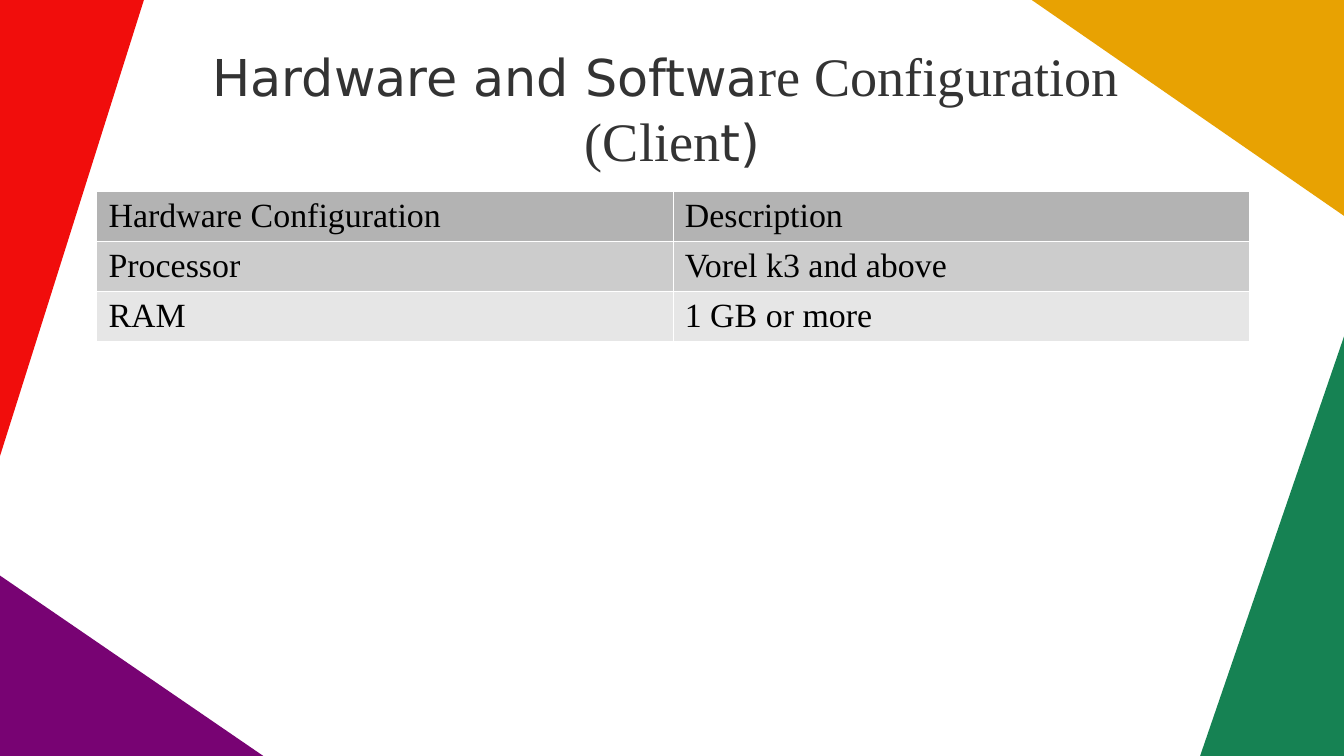
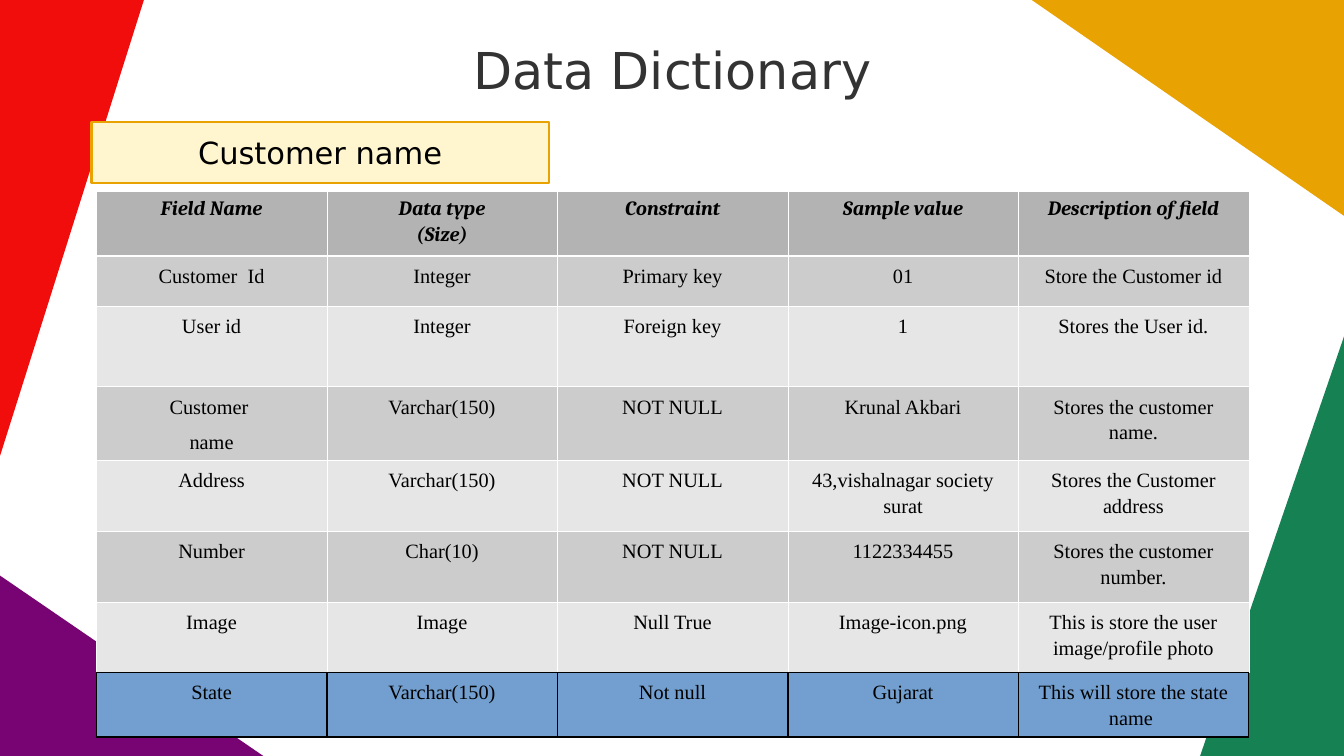
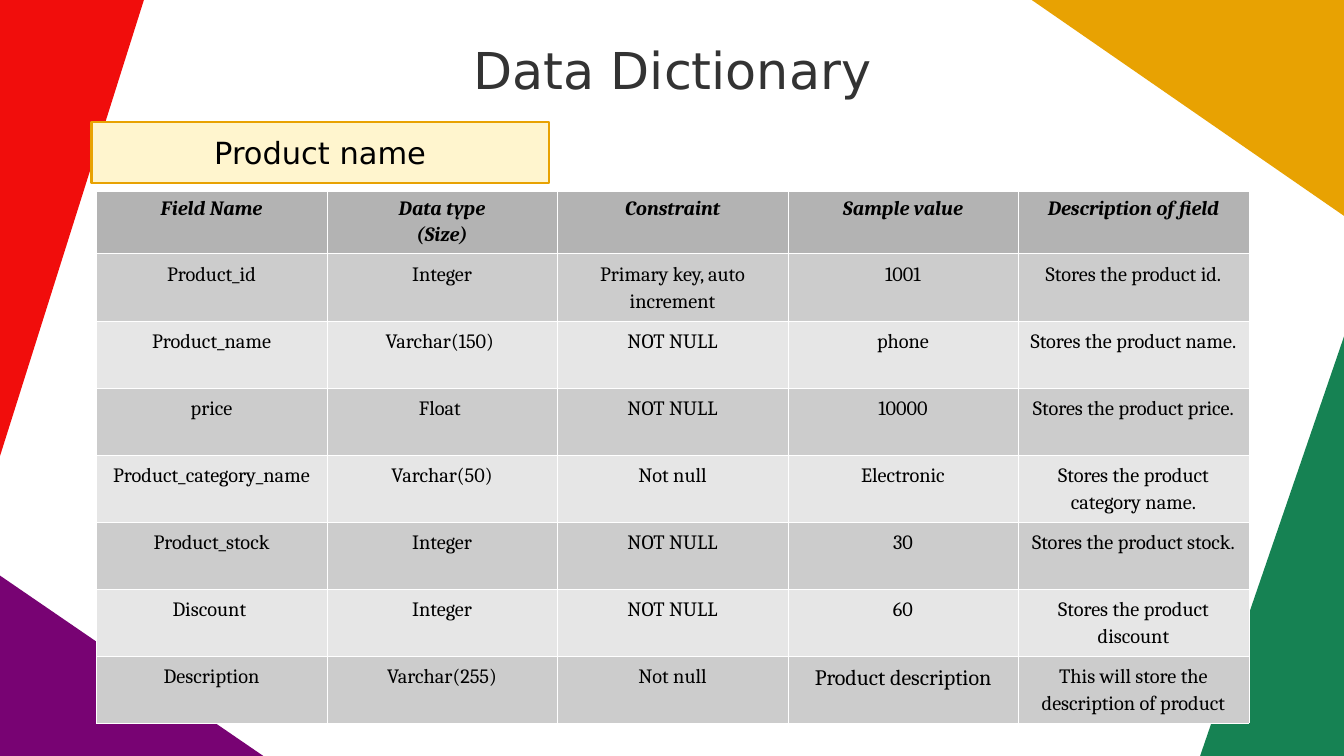
"""Build three slides: client configuration and two data dictionary tables."""
from lxml.etree import SubElement
from pptx import Presentation
from pptx.dml.color import RGBColor
from pptx.enum.shapes import MSO_SHAPE as SHAPE
from pptx.enum.text import MSO_ANCHOR as ANCHOR, MSO_AUTO_SIZE as AUTO, PP_ALIGN as ALIGN
from pptx.oxml.ns import qn
from pptx.util import Inches, Pt

W, H = 11.02, 6.2
LEFT, TABLE_TOP, CONTENT_W = 0.79, 1.57, 9.45
SANS, SERIF, BOOK = "DejaVu Sans", "Times New Roman", "Cambria"
COLORS = {
    "purple": "780373", "red": "F10D0C", "gold": "E8A202", "green": "168253",
    "title": "333333", "black": "000000", "white": "FFFFFF", "cream": "FFF5CE",
    "header": "B3B3B3", "dark": "CCCCCC", "light": "E6E6E6", "blue": "729FCF",
}
CORNERS = [
    ("purple", [(0, 4.72), (0, H), (2.16, H)]),
    ("red", [(0, 0), (0, 3.74), (1.18, 0)]),
    ("gold", [(W, 0), (8.46, 0), (W, 1.77)]),
    ("green", [(W, H), (W, 2.76), (9.84, H)]),
]

DICT_TITLE = [("Data Dictionary", 30, SANS)]
DICT_HEADER = ("Field Name", "Data type\n(Size)", "Constraint", "Sample value",
               "Description of field")
DICT_HEADER_STYLE = dict(font=BOOK, size=12, bold=True, align=ALIGN.CENTER, before=1.1)
PLAIN_STYLE = dict(font=SERIF, size=20)
CUSTOMER_STYLE = dict(font=SERIF, size=12, align=ALIGN.CENTER, spacing=1.15, after=5.7)
PRODUCT_STYLE = {**CUSTOMER_STYLE, "font": BOOK}

SLIDES = [
    dict(
        title=[("Hardware and Softwa", 30, SANS),
               ("re Configuration \n(Clien", 32, SERIF), ("t)", 30, SANS)],
        title_top=0.39, title_height=0.98,
        heights=[0.41] * 3, header_style=PLAIN_STYLE, body_style=PLAIN_STYLE,
        rows=[
            ("Hardware Configuration", "Description"),
            ("Processor", "Vorel k3 and above"),
            ("RAM", "1 GB or more"),
        ],
    ),
    dict(
        title=DICT_TITLE, title_top=0.33, title_height=0.48, label="Customer name",
        heights=[0.53, 0.41, 0.66, 0.6] + [0.58] * 3 + [0.53],
        header_style=DICT_HEADER_STYLE, body_style=CUSTOMER_STYLE, blue_row=7,
        rows=[
            DICT_HEADER,
            ("Customer  Id", "Integer", "Primary key", "01", "Store the Customer id"),
            ("User id", "Integer", "Foreign key", "1", "Stores the User id."),
            ("Customer \nname", "Varchar(150)", "NOT NULL", "Krunal Akbari",
             "Stores the customer name."),
            ("Address", "Varchar(150)", "NOT NULL", "43,vishalnagar society surat",
             "Stores the Customer address"),
            ("Number", "Char(10)", "NOT NULL", "1122334455", "Stores the customer number."),
            ("Image", "Image", "Null True", "Image-icon.png",
             "This is store the user image/profile photo"),
            ("State", "Varchar(150)", "Not null", "Gujarat",
             "This will store the state name "),
        ],
    ),
    dict(
        title=DICT_TITLE, title_top=0.33, title_height=0.48, label="Product name",
        heights=[0.51] + [0.55] * 7,
        header_style=DICT_HEADER_STYLE, body_style=PRODUCT_STYLE,
        sizes={"Product description": 13},
        rows=[
            DICT_HEADER,
            ("Product_id", "Integer", "Primary key, auto increment", "1001",
             "Stores the product id."),
            ("Product_name", "Varchar(150) ", "NOT NULL", "phone", "Stores the product name."),
            ("price", "Float ", "NOT NULL", "10000", "Stores the product price."),
            ("Product_category_name", "Varchar(50)", "Not null", "Electronic",
             "Stores the product category name."),
            ("Product_stock", "Integer", "NOT NULL", "30", "Stores the product stock."),
            ("Discount ", "Integer", "NOT NULL", "60", "Stores the product discount"),
            ("Description", "Varchar(255)", "Not null", "Product description",
             "This will store the description of product"),
        ],
    ),
]


def rgb(name):
    return RGBColor.from_string(COLORS[name])


def fill(target, name):
    target.fill.solid()
    target.fill.fore_color.rgb = rgb(name)


def add_run(p, text, size, font, color="black", bold=False):
    r = p.add_run()
    r.text = text
    r.font.size, r.font.name = Pt(size), font
    r.font.bold = r.font.italic = bold
    r.font.color.rgb = rgb(color)


def add_corners(slide, layout):
    for color, points in CORNERS:
        start, *rest = [(Inches(x), Inches(y)) for x, y in points]
        builder = slide.shapes.build_freeform(*start)
        builder.add_line_segments(rest, close=True)
        sp = builder.convert_to_shape()
        sp.shadow.inherit = False
        fill(sp, color)
        sp.line.fill.background()
        layout.shapes.element.append(sp.element)


def set_title(slide, runs, top, height):
    sp = slide.shapes.title
    sp.left, sp.top = Inches(LEFT), Inches(top)
    sp.width, sp.height = Inches(CONTENT_W), Inches(height)
    tf = sp.text_frame
    tf.margin_left = tf.margin_right = tf.margin_top = tf.margin_bottom = 0
    tf.vertical_anchor, tf.word_wrap, tf.auto_size = ANCHOR.MIDDLE, True, AUTO.NONE
    p = tf.paragraphs[0]
    p.alignment = ALIGN.CENTER
    for text, size, font in runs:
        for i, line in enumerate(text.split("\n")):
            if i:
                p.add_line_break()
            add_run(p, line, size, font, "title")


def add_label(slide, text):
    sp = slide.shapes.add_shape(SHAPE.RECTANGLE, Inches(0.75), Inches(1), Inches(3.75), Inches(0.5))
    sp.shadow.inherit = False
    fill(sp, "cream")
    sp.line.color.rgb, sp.line.width = rgb("gold"), Pt(1.42)
    tf = sp.text_frame
    tf.vertical_anchor, tf.word_wrap = ANCHOR.MIDDLE, False
    p = tf.paragraphs[0]
    p.alignment = ALIGN.CENTER
    add_run(p, text, 18, SANS)


def set_borders(cell, sides, color, width):
    props = cell._tc.get_or_add_tcPr()
    for i, side in enumerate(sides):
        ln = SubElement(props, qn(f"a:ln{side}"), w=str(Pt(width)))
        solid = SubElement(ln, qn("a:solidFill"))
        SubElement(solid, qn("a:srgbClr"), val=COLORS[color])
        props.insert(i, ln)


def write_cell(cell, text, font, size, bold=False, align=ALIGN.LEFT,
               spacing=None, before=0, after=0):
    tf = cell.text_frame
    for i, line in enumerate(text.split("\n")):
        p = tf.add_paragraph() if i else tf.paragraphs[0]
        p.alignment, p.line_spacing = align, spacing
        p.space_before, p.space_after = Pt(before), Pt(after)
        add_run(p, line, size, font, bold=bold)


def add_grid(slide, rows, heights, header_style, body_style, blue_row=None, sizes=None):
    frame = slide.shapes.add_table(len(rows), len(rows[0]), Inches(LEFT), Inches(TABLE_TOP),
                                   Inches(CONTENT_W), Inches(sum(heights)))
    table = frame.table
    table.first_row = table.horz_banding = False
    for r, (texts, height) in enumerate(zip(rows, heights)):
        table.rows[r].height = Inches(height)
        band = "header" if r == 0 else "dark" if r % 2 else "light"
        border = ("white", 0.06)
        if r == blue_row:
            band, border = "blue", ("black", 1)
        sides = "LRTB" if r == len(rows) - 1 else "LRT"
        style = body_style if r else header_style
        for c, text in enumerate(texts):
            cell = table.cell(r, c)
            size = (sizes or {}).get(text, style["size"])
            write_cell(cell, text, **{**style, "size": size})
            fill(cell, band)
            set_borders(cell, sides, *border)


def main():
    prs = Presentation()
    prs.slide_width, prs.slide_height = Inches(W), Inches(H)
    layout = prs.slide_layouts[5]
    for n, item in enumerate(SLIDES):
        slide = prs.slides.add_slide(layout)
        if n == 0:
            add_corners(slide, layout)
        set_title(slide, item["title"], item["title_top"], item["title_height"])
        add_grid(slide, item["rows"], item["heights"], item["header_style"],
                 item["body_style"], item.get("blue_row"), item.get("sizes"))
        if "label" in item:
            add_label(slide, item["label"])
    prs.save("out.pptx")


if __name__ == "__main__":
    main()
